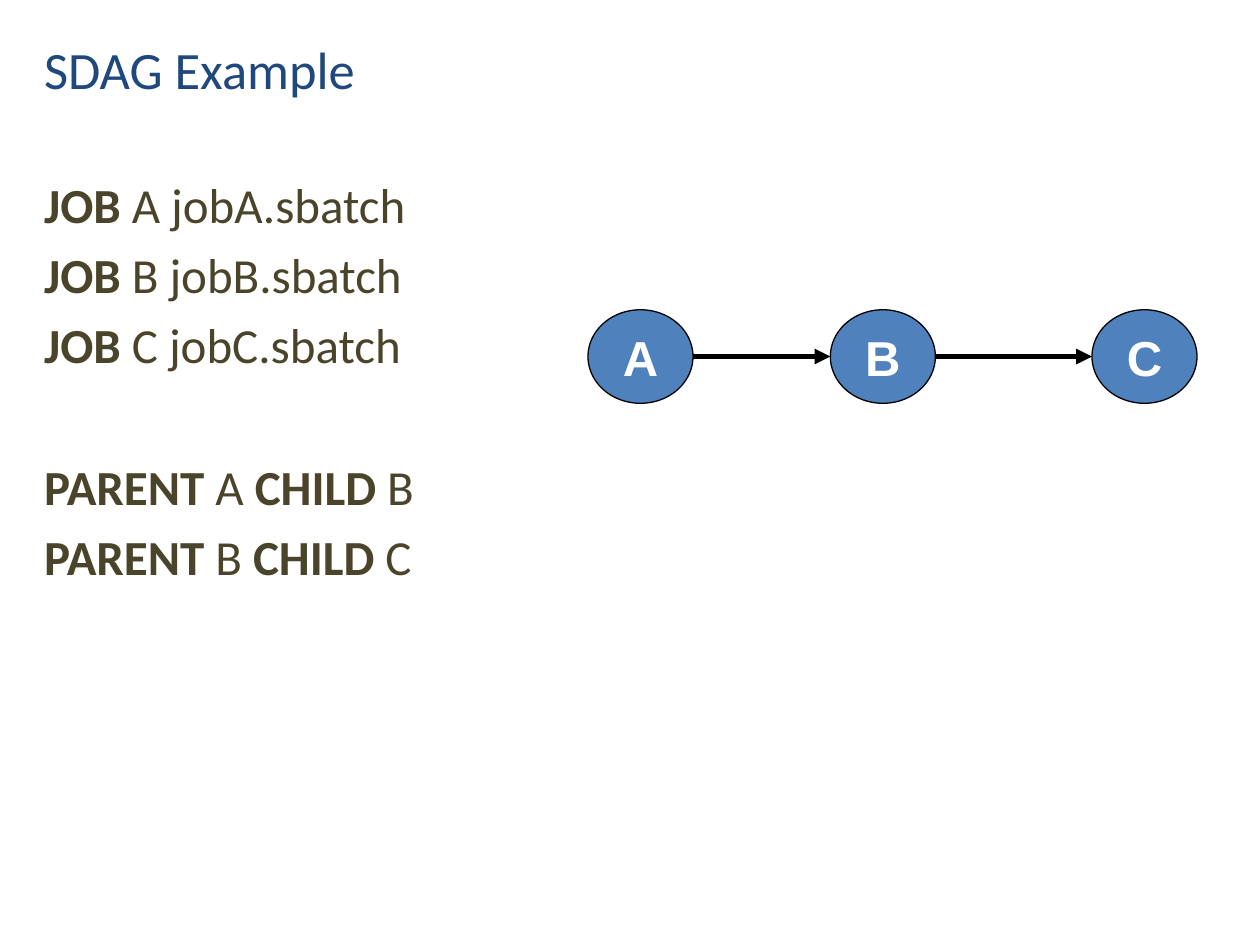
from lxml import etree
from pptx import Presentation
from pptx.dml.color import RGBColor
from pptx.enum.shapes import MSO_CONNECTOR, MSO_SHAPE
from pptx.enum.text import MSO_ANCHOR, MSO_AUTO_SIZE, PP_ALIGN
from pptx.oxml.ns import qn
from pptx.util import Pt

STRAIGHT = MSO_CONNECTOR.STRAIGHT
ELLIPSE = MSO_SHAPE.OVAL
MIDDLE, TOP = MSO_ANCHOR.MIDDLE, MSO_ANCHOR.TOP
LEFT, CENTER = PP_ALIGN.LEFT, PP_ALIGN.CENTER
NO_AUTOFIT = MSO_AUTO_SIZE.NONE

NAVY = RGBColor(0x1F, 0x49, 0x7D)
OLIVE = RGBColor(0x4A, 0x45, 0x2A)
BLUE = RGBColor(0x4F, 0x81, 0xBD)
BLACK = RGBColor(0, 0, 0)
WHITE = RGBColor(255, 255, 255)

KEYWORDS = {"JOB", "PARENT", "CHILD"}
JOB_LINES = ["JOB A jobA.sbatch", "JOB B jobB.sbatch", "JOB C jobC.sbatch"]
DEPENDENCY_LINES = ["PARENT A CHILD B", "PARENT B CHILD C"]
LINE_GAP = 6.5
GROUP_GAP = 47.2


def place(part, box):
    part.left, part.top, part.width, part.height = map(Pt, box)


def set_font(font, name, size, color):
    font.name = name
    font.size = Pt(size)
    font.color.rgb = color


def add_title(slide, box, wording):
    title = slide.shapes.title
    place(title, box)
    frame = title.text_frame
    frame.text = wording
    frame.auto_size = NO_AUTOFIT
    frame.vertical_anchor = MIDDLE
    heading = frame.paragraphs[0]
    heading.alignment = LEFT
    set_font(heading.font, "Calibri", 30, NAVY)


def add_statement(paragraph, statement, gap):
    properties = paragraph._p.get_or_add_pPr()
    properties.set("marL", str(Pt(27)))
    properties.set("indent", str(-Pt(27)))
    etree.SubElement(properties, qn("a:buNone"))
    paragraph.space_before = Pt(gap)
    set_font(paragraph.font, "Calibri", 28, OLIVE)
    words = statement.split(" ")
    for index, word in enumerate(words):
        if word in KEYWORDS:
            keyword = paragraph.add_run()
            keyword.text = word
            keyword.font.bold = True
        elif words[index - 1] in KEYWORDS:
            arguments = paragraph.add_run()
            arguments.text = " " + word
        else:
            arguments.text += " " + word
        if index + 1 < len(words) and words[index + 1] in KEYWORDS:
            arguments.text += " "


def add_listing(slide, box):
    listing = slide.placeholders[1]
    place(listing, box)
    frame = listing.text_frame
    frame.auto_size = NO_AUTOFIT
    frame.vertical_anchor = TOP
    for index, statement in enumerate(JOB_LINES + DEPENDENCY_LINES):
        paragraph = frame.add_paragraph() if index else frame.paragraphs[0]
        gap = GROUP_GAP if index == len(JOB_LINES) else LINE_GAP
        add_statement(paragraph, statement, gap)


def add_job(slide, box, letter):
    job = slide.shapes.add_shape(ELLIPSE, *map(Pt, box))
    job.shadow.inherit = False
    job.fill.solid()
    job.fill.fore_color.rgb = BLUE
    job.line.color.rgb = BLACK
    job.line.width = Pt(0.75)
    frame = job.text_frame
    frame.text = letter
    frame.word_wrap = False
    frame.vertical_anchor = MIDDLE
    label = frame.paragraphs[0]
    label.alignment = CENTER
    set_font(label.font, "Arial", 28, WHITE)
    label.font.bold = True


def add_arrow(slide, start, end, middle):
    arrow = slide.shapes.add_connector(STRAIGHT, *map(Pt, (start, middle, end, middle)))
    arrow.line.color.rgb = BLACK
    arrow.line.width = Pt(3)
    etree.SubElement(arrow.line._get_or_add_ln(), qn("a:tailEnd"), type="triangle")
    etree.SubElement(arrow._element.spPr, qn("a:effectLst"))


def add_graph(slide, box):
    left, top, width, height = box
    job_width = 60
    job_lefts = [left, left + 138.5, left + width - job_width]
    for letter, job_left in zip("ABC", job_lefts):
        add_job(slide, (job_left, top, job_width, height), letter)
    for parent_left, child_left in zip(job_lefts, job_lefts[1:]):
        add_arrow(slide, parent_left + job_width, child_left, top + height / 2)


def main():
    deck = Presentation()
    deck.slide_width, deck.slide_height = Pt(720), Pt(540)
    slide = deck.slides.add_slide(deck.slide_layouts[1])
    add_title(slide, (18, 6, 444, 66), "SDAG Example")
    add_listing(slide, (18, 96, 306, 360))
    add_graph(slide, (336, 177, 348, 53.5))
    deck.save("out.pptx")


if __name__ == "__main__":
    main()
